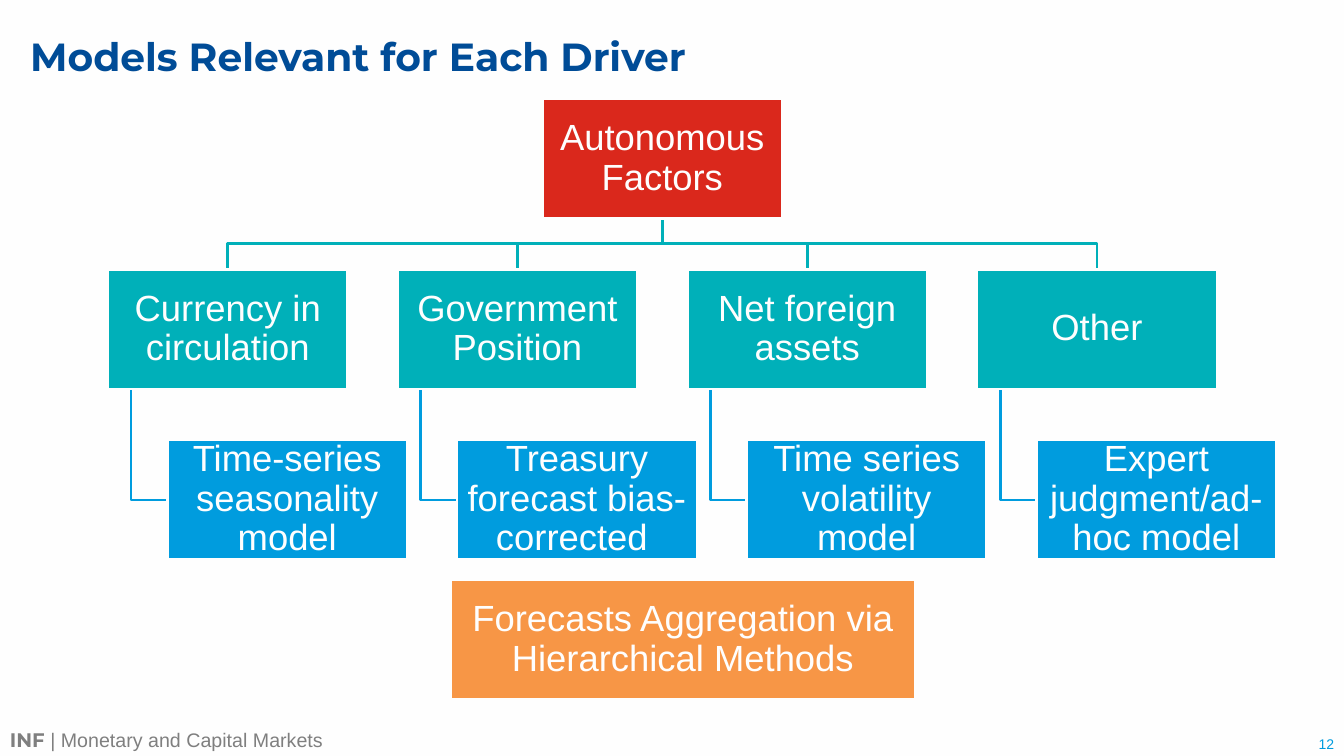
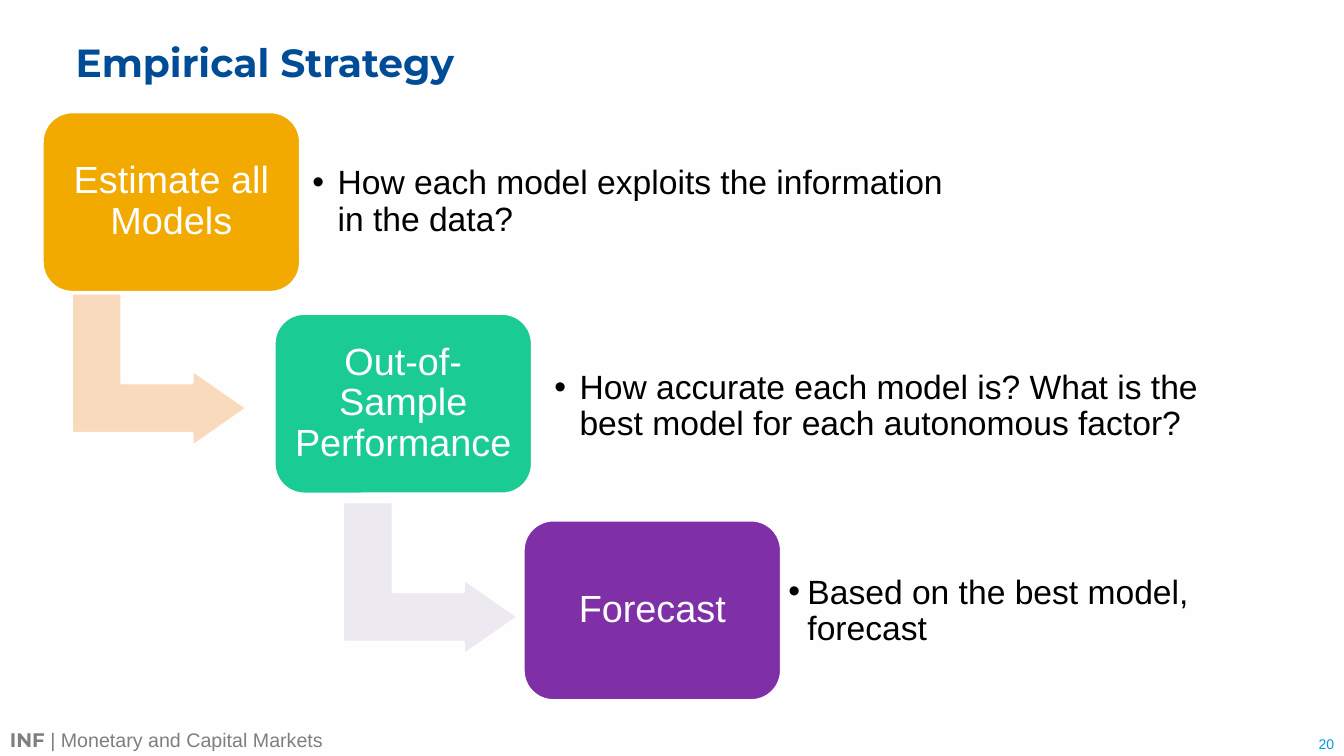
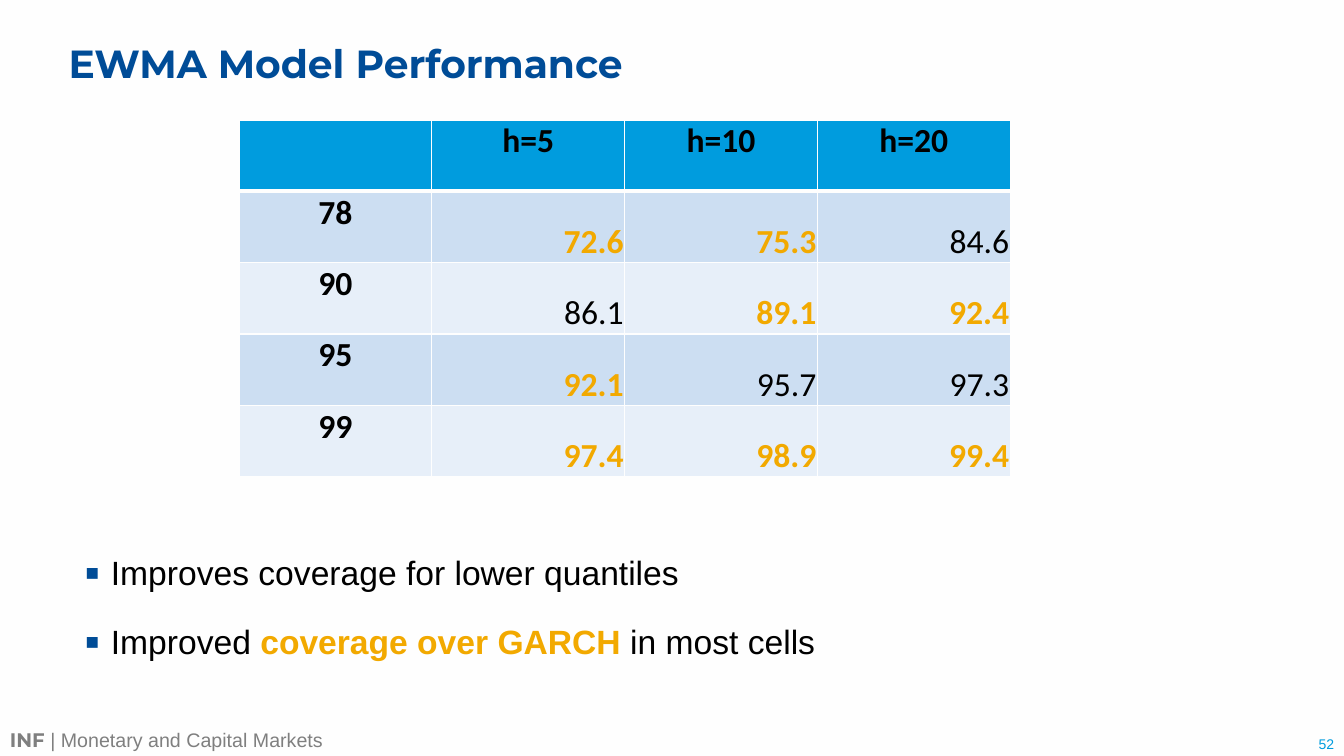
from lxml.etree import SubElement
from pptx import Presentation
from pptx.dml.color import RGBColor
from pptx.enum.shapes import MSO_SHAPE
from pptx.enum.text import MSO_ANCHOR, PP_ALIGN
from pptx.oxml.ns import qn
from pptx.util import Emu, Pt

EMU_PER_PX = 9144  # 100 px to the inch
SLIDE_WIDTH, SLIDE_HEIGHT = 1333, 750

WHITE, BLACK, GRAY = "FEFEFE", "000000", "7F7F7F"
NAVY, BLUE, TEAL, RED = "004C97", "009CDE", "00B0B9", "DA281C"
ORANGE, AMBER, GREEN, PURPLE = "F79646", "F2A900", "1ACB93", "8030A7"
PEACH, LAVENDER = "F9DABD", "EDE9F1"
BAND_DARK, BAND_LIGHT = "CCDEF2", "E7EFF9"
HEADING_FONT, BODY_FONT, TABLE_FONT = "Montserrat", "Arial", "Calibri"


def px(length):
    return Emu(round(length * EMU_PER_PX))


def box_emu(box):
    return [px(length) for length in box]


def color(hex_string):
    return RGBColor.from_string(hex_string)


def format_run(run, size, hex_string, bold=False, font=BODY_FONT):
    run.font.name = font
    run.font.size = Pt(size)
    run.font.bold = bold
    run.font.color.rgb = color(hex_string)


def format_frame(frame, anchor, insets):
    """Insets are left, top, right, bottom."""
    frame.word_wrap = True
    frame.vertical_anchor = anchor
    frame.margin_left, frame.margin_top, frame.margin_right, frame.margin_bottom = box_emu(insets)


def add_text_frame(slide, box, anchor=MSO_ANCHOR.TOP, insets=(10, 5, 10, 5)):
    frame = slide.shapes.add_textbox(*box_emu(box)).text_frame
    format_frame(frame, anchor, insets)
    return frame


def add_bullet(paragraph, character, indent, hex_string=None, percent=100):
    properties = paragraph._p.get_or_add_pPr()
    properties.set("marL", str(px(indent)))
    properties.set("indent", str(px(-indent)))
    if hex_string:
        bullet_color = SubElement(properties, qn("a:buClr"))
        SubElement(bullet_color, qn("a:srgbClr"), val=hex_string)
    SubElement(properties, qn("a:buSzPct"), val=str(percent * 1000))
    SubElement(properties, qn("a:buFont"), typeface=BODY_FONT)
    SubElement(properties, qn("a:buChar"), char=character)


def set_outline(shape, hex_string):
    shape.shadow.inherit = False
    shape.line.color.rgb = color(hex_string)
    shape.line.width = Pt(2)


def add_block(slide, preset, box, fill):
    shape = slide.shapes.add_shape(preset, *box_emu(box))
    shape.fill.solid()
    shape.fill.fore_color.rgb = color(fill)
    set_outline(shape, WHITE)
    return shape


def add_labelled_block(slide, preset, box, fill, label, size, inset):
    shape = add_block(slide, preset, box, fill)
    format_frame(shape.text_frame, MSO_ANCHOR.MIDDLE, [inset] * 4)
    shape.text_frame.text = label
    paragraph = shape.text_frame.paragraphs[0]
    paragraph.alignment = PP_ALIGN.CENTER
    paragraph.line_spacing = 0.9
    format_run(paragraph.runs[0], size, WHITE)
    return shape


def add_bent_link(slide, points, hex_string):
    """Draw one open outline with corners through the points."""
    builder = slide.shapes.build_freeform(*points[0], scale=EMU_PER_PX)
    builder.add_line_segments(points[1:], close=False)
    link = builder.convert_to_shape()
    link.fill.background()
    set_outline(link, hex_string)


def add_footer(slide, number):
    paragraph = add_text_frame(slide, (0, 717, 1000, 33)).paragraphs[0]
    for text, font, bold in (("INF ", HEADING_FONT, True),
                             ("| Monetary and Capital Markets", BODY_FONT, False)):
        run = paragraph.add_run()
        run.text = text
        format_run(run, 14, GRAY, bold, font)
    frame = add_text_frame(slide, (1201, 724, 132, 26), MSO_ANCHOR.BOTTOM, (10, 5, 10, 4))
    frame.text = str(number)
    frame.paragraphs[0].alignment = PP_ALIGN.RIGHT
    format_run(frame.paragraphs[0].runs[0], 10, BLUE)


def add_titled_slide(presentation, title, title_box, number):
    slide = presentation.slides.add_slide(presentation.slide_layouts.get_by_name("Title Only"))
    placeholder = slide.shapes.title
    placeholder.left, placeholder.top, placeholder.width, placeholder.height = box_emu(title_box)
    frame = placeholder.text_frame
    format_frame(frame, MSO_ANCHOR.MIDDLE, [0] * 4)
    frame.text = title
    paragraph = frame.paragraphs[0]
    paragraph.alignment = PP_ALIGN.LEFT
    paragraph.line_spacing = 0.9
    format_run(paragraph.runs[0], 28, NAVY, True, HEADING_FONT)
    add_footer(slide, number)
    return slide


def add_driver_tree(slide, left, top, row_width, root_label, branches):
    """Draw the root, a row of drivers below it and one model under each driver."""
    width, height, level = 238, 119, 169
    model_shift, stem_shift = 59, 23
    pitch = (row_width - width) / (len(branches) - 1)
    lefts = [left + index * pitch for index in range(len(branches))]
    middle = left + row_width / 2
    driver_top, model_top = top + level, top + 2 * level
    root_bottom, driver_bottom = top + height, driver_top + height
    bus = (root_bottom + driver_top) / 2
    model_middle = model_top + height / 2

    def add_node(x, y, fill, label):
        add_labelled_block(slide, MSO_SHAPE.RECTANGLE, (x, y, width, height),
                           fill, label, 26, 2)

    for x in lefts:
        center, stem = x + width / 2, x + stem_shift
        add_bent_link(slide, [(middle, root_bottom), (middle, bus),
                              (center, bus), (center, driver_top)], TEAL)
        add_bent_link(slide, [(stem, driver_bottom), (stem, model_middle),
                              (x + model_shift, model_middle)], BLUE)
    add_node(middle - width / 2, top, RED, root_label)
    for x, (driver_label, model_label) in zip(lefts, branches):
        add_node(x, driver_top, TEAL, driver_label)
        add_node(x + model_shift, model_top, BLUE, model_label)


def add_step(slide, left, top, fill, label, question, question_box, indent):
    """The question box is left, top, width, relative to the step's corner."""
    block = add_labelled_block(slide, MSO_SHAPE.ROUNDED_RECTANGLE, (left, top, 256, 179),
                               fill, label, 27, 11)
    block.adjustments[0] = 0.167
    shift, drop, width = question_box
    frame = add_text_frame(slide, (left + shift, top + drop, width, 145),
                           MSO_ANCHOR.MIDDLE, [10] * 4)
    frame.text = question
    paragraph = frame.paragraphs[0]
    paragraph.line_spacing = 0.9
    add_bullet(paragraph, "•", indent)
    format_run(paragraph.runs[0], 24, BLACK)


def add_step_arrow(slide, left, top, fill):
    arrow = add_block(slide, MSO_SHAPE.BENT_UP_ARROW, (left, top, 152, 174), fill)
    arrow.rotation = 90
    for index, value in enumerate((0.328, 0.25, 0.358)):
        arrow.adjustments[index] = value


def set_cell_borders(cell, bottom_points):
    properties = cell._tc.get_or_add_tcPr()
    borders = (("a:lnL", 1), ("a:lnR", 1), ("a:lnT", 1), ("a:lnB", bottom_points))
    for index, (tag, points) in enumerate(borders):
        line = properties.makeelement(qn(tag), {"w": str(Pt(points))})
        SubElement(SubElement(line, qn("a:solidFill")), qn("a:srgbClr"), val=WHITE)
        properties.insert(index, line)


def add_coverage_table(slide, box, rows, highlighted):
    """Highlighted holds the texts shown in bold amber."""
    table = slide.shapes.add_table(len(rows), len(rows[0]), *box_emu(box)).table
    table.horz_banding = False
    for row_index, row in enumerate(rows):
        band = BLUE if row_index == 0 else (BAND_LIGHT, BAND_DARK)[row_index % 2]
        for column_index, text in enumerate(row):
            cell = table.cell(row_index, column_index)
            is_label = row_index == 0 or column_index == 0
            cell.fill.solid()
            cell.fill.fore_color.rgb = color(band)
            set_cell_borders(cell, 3 if row_index == 0 else 1)
            cell.margin_left = cell.margin_top = cell.margin_right = px(1)
            cell.margin_bottom = 0
            cell.vertical_anchor = MSO_ANCHOR.TOP if is_label else MSO_ANCHOR.BOTTOM
            if not text:
                continue
            cell.text_frame.text = text
            paragraph = cell.text_frame.paragraphs[0]
            paragraph.alignment = PP_ALIGN.CENTER if is_label else PP_ALIGN.RIGHT
            is_highlighted = text in highlighted
            format_run(paragraph.runs[0], 24, AMBER if is_highlighted else BLACK,
                       is_label or is_highlighted, TABLE_FONT)


def add_findings(slide, box, findings):
    """Each finding is a list of (text, emphasized) parts."""
    frame = add_text_frame(slide, box, insets=(0, 15, 0, 0))
    for index, parts in enumerate(findings):
        paragraph = frame.add_paragraph() if index else frame.paragraphs[0]
        paragraph.line_spacing = 1.5
        paragraph.space_before = Pt(6)
        add_bullet(paragraph, "▪", 26, NAVY, 130)
        for text, emphasized in parts:
            run = paragraph.add_run()
            run.text = text
            format_run(run, 24, AMBER if emphasized else BLACK, emphasized)


def build_drivers_slide(presentation):
    slide = add_titled_slide(presentation, "Models Relevant for Each Driver",
                             (30, 5, 1303, 107), 12)
    add_driver_tree(slide, 107, 98, 1100, "Autonomous Factors", [
        ("Currency in circulation", "Time-series seasonality model"),
        ("Government Position", "Treasury forecast bias-corrected "),
        ("Net foreign assets", "Time series volatility model"),
        ("Other", "Expert judgment/ad-hoc model"),
    ])
    add_labelled_block(slide, MSO_SHAPE.RECTANGLE, (447, 575, 461, 119), ORANGE,
                       "Forecasts Aggregation via Hierarchical Methods", 26, 2)


def build_strategy_slide(presentation):
    slide = add_titled_slide(presentation, "Empirical Strategy", (75, 11, 1062, 107), 20)
    add_step_arrow(slide, 82, 280, PEACH)
    add_step_arrow(slide, 351, 487, LAVENDER)
    add_step(slide, 42, 111, AMBER, "Estimate all Models",
             "How each model exploits the information in the data?", (258, 17, 650), 25)
    add_step(slide, 272, 311, GREEN, "Out-of-Sample Performance",
             "How accurate each model is? What is the best model for each autonomous factor?",
             (268, 20, 687), 25)
    add_step(slide, 519, 516, PURPLE, "Forecast",
             "Based on the best model, forecast", (253, 18, 537), 19)


def build_performance_slide(presentation):
    slide = add_titled_slide(presentation, "EWMA Model Performance", (68, 12, 1104, 107), 52)
    rows = [
        ("", "h=5", "h=10", "h=20"),
        ("78", "72.6", "75.3", "84.6"),
        ("90", "86.1", "89.1", "92.4"),
        ("95", "92.1", "95.7", "97.3"),
        ("99", "97.4", "98.9", "99.4"),
    ]
    highlighted = {"72.6", "75.3", "89.1", "92.4", "92.1", "97.4", "98.9", "99.4"}
    add_coverage_table(slide, (237, 119, 765, 354), rows, highlighted)
    add_findings(slide, (84, 513, 1218, 202), [
        [("Improves coverage for lower quantiles", False)],
        [("Improved ", False), ("coverage over GARCH", True), (" in most cells", False)],
    ])


def main():
    presentation = Presentation()
    presentation.slide_width, presentation.slide_height = px(SLIDE_WIDTH), px(SLIDE_HEIGHT)
    background = presentation.slide_master.background.fill
    background.solid()
    background.fore_color.rgb = color(WHITE)
    build_drivers_slide(presentation)
    build_strategy_slide(presentation)
    build_performance_slide(presentation)
    presentation.save("out.pptx")


if __name__ == "__main__":
    main()
